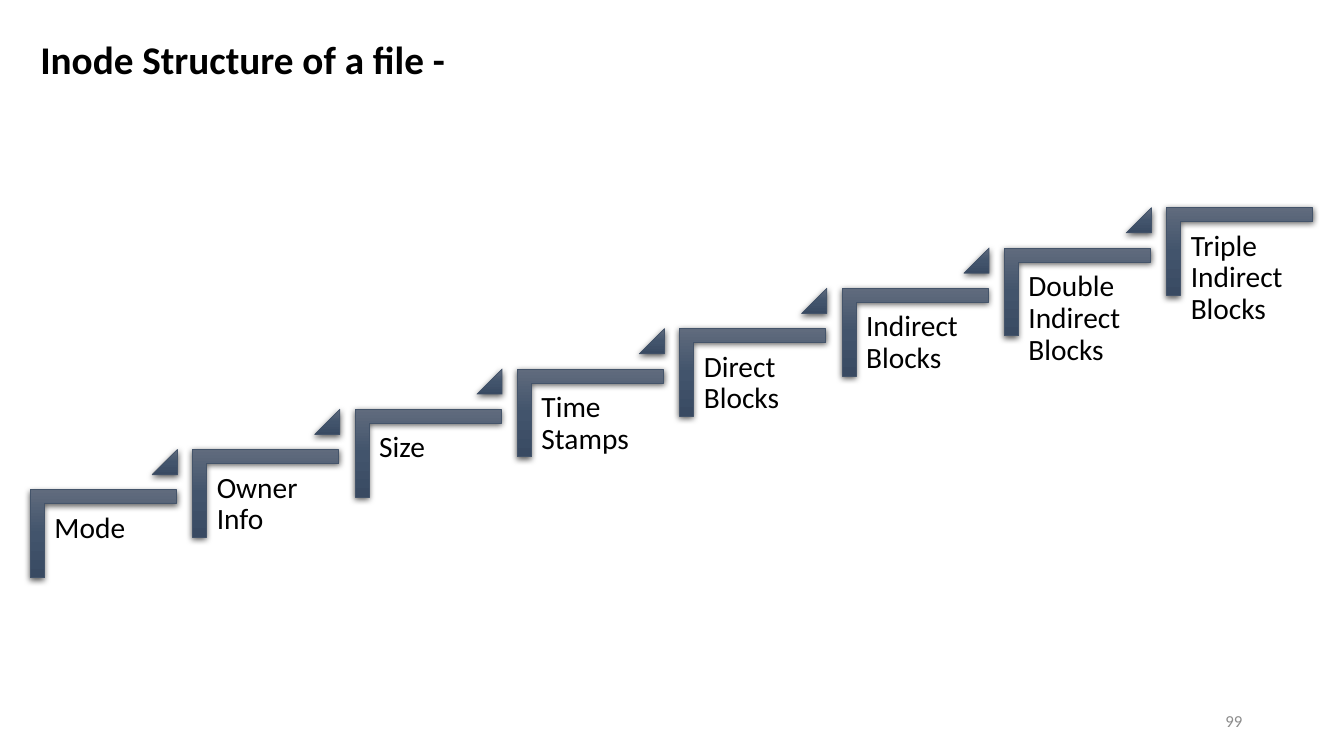
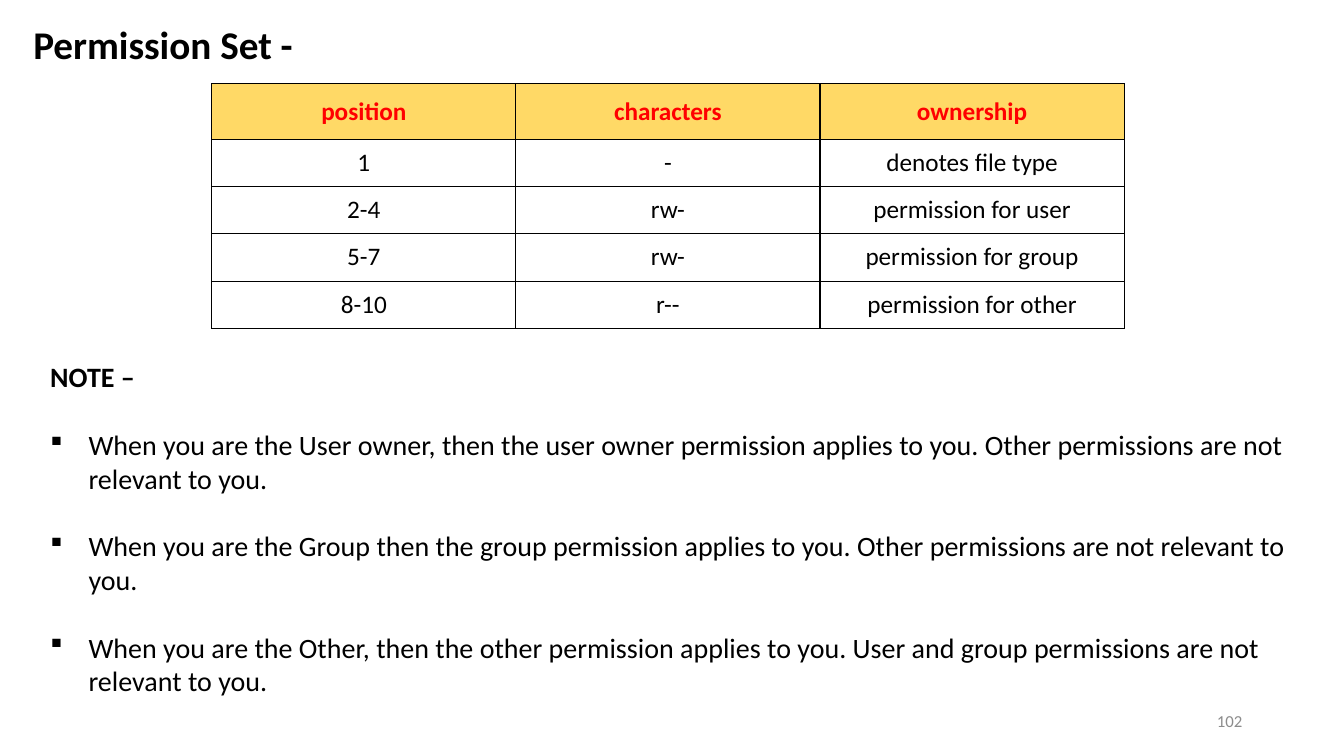
"""Build two slides: the inode structure steps and the permission set."""

import dataclasses
from typing import Optional

import pptx
import pptx.dml.color
import pptx.enum.shapes
import pptx.enum.text
import pptx.oxml
import pptx.oxml.ns
import pptx.presentation
import pptx.shapes.autoshape
import pptx.slide
import pptx.table
import pptx.text.text
import pptx.util
from pptx.util import Inches

FONT = "Calibri"
BLACK = "000000"
RED = "FF0000"
GREY = "8C8C8C"
GOLD = "FFD966"
SLATE = "44546A"
STEP_GRADIENT = ((0, "606B7D"), (50, "42546C"), (100, "394A62"))
DRAWING_NS = pptx.oxml.ns.nsdecls("a")
ALIGN = pptx.enum.text.PP_ALIGN
ANCHOR = pptx.enum.text.MSO_ANCHOR
SHAPE = pptx.enum.shapes.MSO_SHAPE

STEP_LABELS = (
    "Mode",
    "Owner Info",
    "Size",
    "Time Stamps",
    "Direct Blocks",
    "Indirect Blocks",
    "Double Indirect Blocks",
    "Triple Indirect Blocks",
)
FIRST_STEP_LEFT, FIRST_STEP_TOP = 0.3, 4.86
STEP_RUN, STEP_RISE = 1.61, 0.4
CORNER_WIDTH, CORNER_HEIGHT = 0.87, 1.45
CORNER_SHIFT = (CORNER_HEIGHT - CORNER_WIDTH) / 2

PERMISSIONS = (
    ("position", "characters", "ownership"),
    ("1", "-", "denotes file type"),
    ("2-4", "rw-", "permission for user"),
    ("5-7", "rw-", "permission for group"),
    ("8-10", "r--", "permission for other"),
)
NOTES = (
    "When you are the User owner, then the user owner permission applies to you. "
    "Other permissions are not relevant to you.",
    "When you are the Group then the group permission applies to you. "
    "Other permissions are not relevant to you.",
    "When you are the Other, then the other permission applies to you. "
    "User and group permissions are not relevant to you.",
)


@dataclasses.dataclass(frozen=True)
class Box:
    """Hold a position and size in inches."""

    left: float
    top: float
    width: float
    height: float

    def lengths(self) -> tuple:
        """Return the four values as lengths."""
        return tuple(Inches(value) for value in dataclasses.astuple(self))


@dataclasses.dataclass(frozen=True)
class TextStyle:
    """Hold the look of a run of text."""

    size: float
    color: str = BLACK
    bold: bool = False


TITLE_STYLE = TextStyle(28, bold=True)
NUMBER_STYLE = TextStyle(12, GREY)
STEP_STYLE = TextStyle(21)
HEADER_STYLE = TextStyle(18, RED, True)
CELL_STYLE = TextStyle(18)
NOTE_HEADING_STYLE = TextStyle(20, bold=True)
NOTE_STYLE = TextStyle(20)


def rgb(color: str) -> pptx.dml.color.RGBColor:
    """Turn a hex string into a colour."""
    return pptx.dml.color.RGBColor.from_string(color)


def add_run(paragraph: pptx.text.text._Paragraph, text: str, style: TextStyle) -> None:
    """Add one styled run."""
    run = paragraph.add_run()
    run.text = text
    run.font.name = FONT
    run.font.size = pptx.util.Pt(style.size)
    run.font.bold = style.bold
    run.font.color.rgb = rgb(style.color)


def add_text_frame(
    slide: pptx.slide.Slide, box: Box, inset: Optional[float] = None
) -> pptx.text.text.TextFrame:
    """Add a wrapping text box and return its frame."""
    frame = slide.shapes.add_textbox(*box.lengths()).text_frame
    frame.word_wrap = True
    if inset is not None:
        frame.margin_left = frame.margin_right = Inches(inset)
        frame.margin_top = frame.margin_bottom = Inches(inset)
    return frame


def add_titled_slide(
    deck: pptx.presentation.Presentation, title: str, box: Box, number: str, wrap: bool
) -> pptx.slide.Slide:
    """Add a slide with its title and page number."""
    slide = deck.slides.add_slide(deck.slide_layouts[5])
    heading = slide.shapes.title
    heading.left, heading.top, heading.width, heading.height = box.lengths()
    frame = heading.text_frame
    frame.word_wrap = wrap
    frame.auto_size = pptx.enum.text.MSO_AUTO_SIZE.SHAPE_TO_FIT_TEXT
    frame.vertical_anchor = ANCHOR.TOP
    frame.paragraphs[0].alignment = ALIGN.LEFT
    add_run(frame.paragraphs[0], title, TITLE_STYLE)

    page = add_text_frame(slide, Box(9.42, 6.95, 3, 0.4))
    page.vertical_anchor = ANCHOR.MIDDLE
    page.paragraphs[0].alignment = ALIGN.RIGHT
    add_run(page.paragraphs[0], number, NUMBER_STYLE)
    return slide


def add_step_shape(
    slide: pptx.slide.Slide, kind: SHAPE, box: Box, adjustments: tuple
) -> pptx.shapes.autoshape.Shape:
    """Add a shaded shape with a soft shadow."""
    shape = slide.shapes.add_shape(kind, *box.lengths())
    for index, value in enumerate(adjustments):
        shape.adjustments[index] = value
    shape.line.color.rgb = rgb(SLATE)
    shape.line.width = pptx.util.Pt(0.5)
    shape.shadow.inherit = False
    stops = "".join(
        f'<a:gs pos="{position * 1000}"><a:srgbClr val="{color}"/></a:gs>'
        for position, color in STEP_GRADIENT
    )
    gradient = pptx.oxml.parse_xml(
        f'<a:gradFill {DRAWING_NS} rotWithShape="0"><a:gsLst>{stops}</a:gsLst>'
        '<a:lin ang="5400000" scaled="0"/></a:gradFill>'
    )
    properties = shape._element.spPr
    properties.find(pptx.oxml.ns.qn("a:ln")).addprevious(gradient)
    shadow = pptx.oxml.parse_xml(
        f'<a:outerShdw {DRAWING_NS} blurRad="57150" dist="19050" dir="5400000" '
        f'algn="ctr" rotWithShape="0"><a:srgbClr val="{BLACK}">'
        '<a:alpha val="63000"/></a:srgbClr></a:outerShdw>'
    )
    properties.find(pptx.oxml.ns.qn("a:effectLst")).append(shadow)
    return shape


def add_step(
    slide: pptx.slide.Slide, left: float, top: float, label: str, has_next: bool
) -> None:
    """Draw one stair with its label and upward marker."""
    corner_box = Box(
        left + CORNER_SHIFT, top - CORNER_SHIFT, CORNER_WIDTH, CORNER_HEIGHT
    )
    corner = add_step_shape(slide, SHAPE.CORNER, corner_box, (0.16, 0.16))
    corner.rotation = 90
    frame = add_text_frame(slide, Box(left + 0.15, top + 0.14, 1.31, 1.15), 0.09)
    frame.paragraphs[0].line_spacing = 0.9
    add_run(frame.paragraphs[0], label, STEP_STYLE)
    if has_next:
        marker_box = Box(left + 1.21, top - 0.4, 0.25, 0.25)
        add_step_shape(slide, SHAPE.ISOSCELES_TRIANGLE, marker_box, (1,))


def add_borders(cell: pptx.table._Cell) -> None:
    """Give a cell thin black lines on all sides."""
    properties = cell._tc.get_or_add_tcPr()
    for side in ("lnL", "lnR", "lnT", "lnB"):
        properties.append(
            pptx.oxml.parse_xml(
                f'<a:{side} {DRAWING_NS} w="12700"><a:solidFill>'
                f'<a:srgbClr val="{BLACK}"/></a:solidFill></a:{side}>'
            )
        )


def add_permission_table(slide: pptx.slide.Slide) -> None:
    """Add the table of permission characters."""
    table = slide.shapes.add_table(
        len(PERMISSIONS), len(PERMISSIONS[0]), *Box(2.1, 0.83, 9.05, 2.42).lengths()
    ).table
    table.first_row = table.horz_banding = False
    for column in table.columns:
        column.width = Inches(9.05 / len(PERMISSIONS[0]))
    for row_index, values in enumerate(PERMISSIONS):
        is_header = row_index == 0
        table.rows[row_index].height = Inches(0.55 if is_header else 0.47)
        inset = Inches(0.12 if is_header else 0.08)
        for column_index, value in enumerate(values):
            cell = table.cell(row_index, column_index)
            cell.margin_left = cell.margin_right = inset
            cell.margin_top = cell.margin_bottom = inset
            add_borders(cell)
            if is_header:
                cell.vertical_anchor = ANCHOR.MIDDLE
                cell.fill.solid()
                cell.fill.fore_color.rgb = rgb(GOLD)
            else:
                cell.fill.background()
            paragraph = cell.text_frame.paragraphs[0]
            paragraph.alignment = ALIGN.CENTER
            add_run(paragraph, value, HEADER_STYLE if is_header else CELL_STYLE)


def add_notes(slide: pptx.slide.Slide) -> None:
    """Add the note heading and its bulleted points."""
    frame = add_text_frame(slide, Box(0.4, 3.52, 12.56, 3.47))
    add_run(frame.paragraphs[0], "NOTE –", NOTE_HEADING_STYLE)
    for note in NOTES:
        paragraph = frame.add_paragraph()
        paragraph.space_before = pptx.util.Pt(24.4)
        properties = paragraph._p.get_or_add_pPr()
        properties.set("marL", str(Inches(0.38)))
        properties.set("indent", str(-Inches(0.38)))
        for bullet in ('buFont typeface="Wingdings"', 'buChar char="§"'):
            properties.append(pptx.oxml.parse_xml(f"<a:{bullet} {DRAWING_NS}/>"))
        add_run(paragraph, note, NOTE_STYLE)


def main() -> None:
    """Build and save the slides."""
    deck = pptx.Presentation()
    deck.slide_width, deck.slide_height = Inches(13.33), Inches(7.5)

    inode = add_titled_slide(
        deck, "Inode Structure of a file -", Box(0.3, 0.3, 12.56, 0.57), "99", True
    )
    for index, label in enumerate(STEP_LABELS):
        left = FIRST_STEP_LEFT + index * STEP_RUN
        top = FIRST_STEP_TOP - index * STEP_RISE
        add_step(inode, left, top, label, index < len(STEP_LABELS) - 1)

    permission = add_titled_slide(
        deck, "Permission Set -", Box(0.23, 0.15, 2.81, 0.57), "102", False
    )
    add_permission_table(permission)
    add_notes(permission)
    deck.save("out.pptx")


if __name__ == "__main__":
    main()
